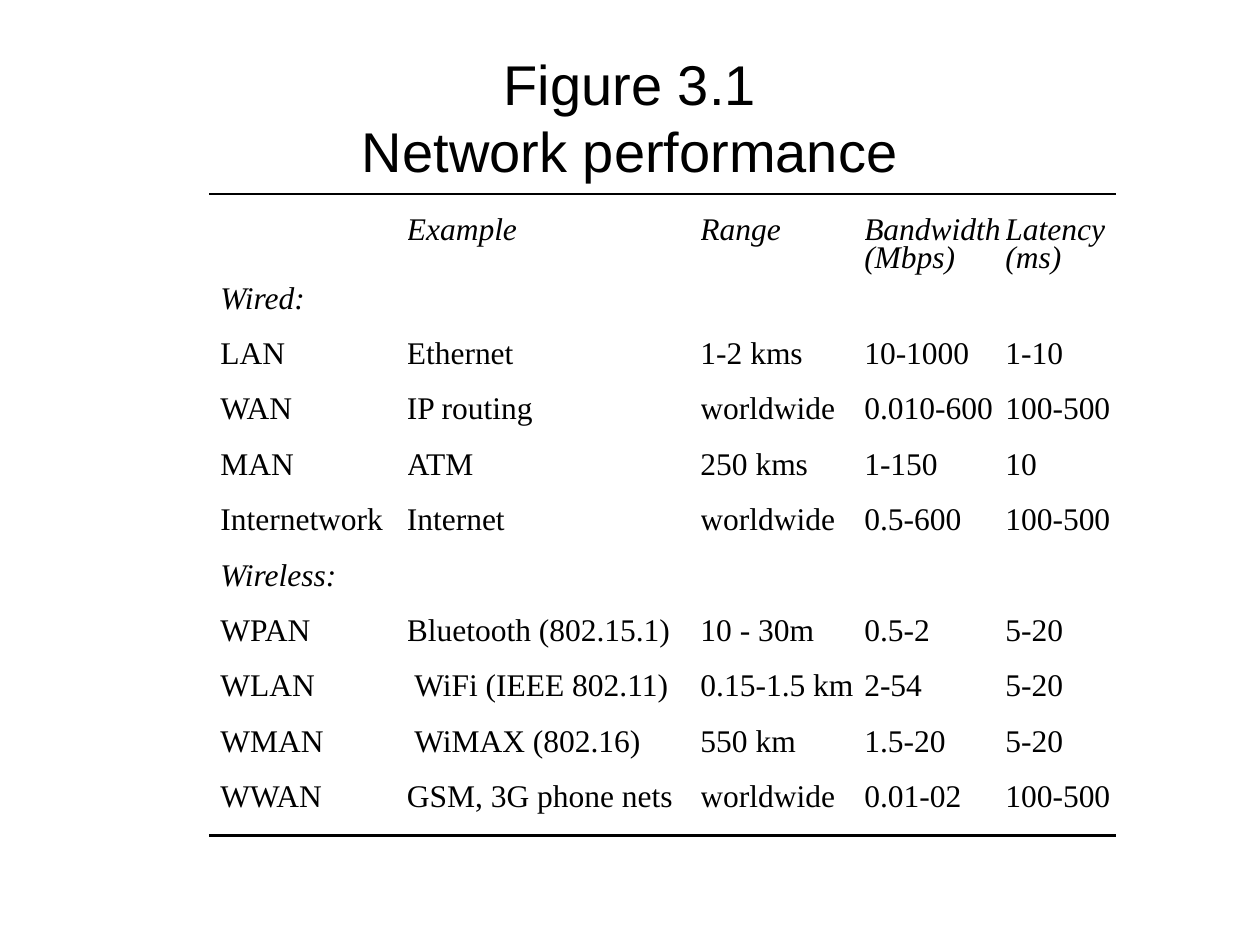
from pptx import Presentation
from pptx.dml.color import RGBColor
from pptx.enum.shapes import MSO_CONNECTOR
from pptx.enum.text import MSO_ANCHOR, MSO_AUTO_SIZE, PP_ALIGN
from pptx.oxml.ns import qn
from pptx.util import Inches, Pt

BLACK = RGBColor(0x00, 0x00, 0x00)
TITLE_FONT = {"name": "Arial", "size": Pt(32)}
BODY_FONT = {"name": "Times New Roman", "size": Pt(18)}

# Table grid, in inches
LEFT, TOP, BOTTOM = 1.66, 1.54, 6.63
COL_WIDTHS = [1.57, 2.33, 1.30, 1.12, 0.88]
HEADER_HEIGHT, ROW_HEIGHT = 0.65, 0.44
HEADER_PAD, ROW_PAD = 0.20, 0.04
FIRST_PAD, INDENT = 0.09, 0.06

HEADER = ["", "Example", "Range", "Bandwidth\v(Mbps)", "Latency\v(ms)"]
GROUPS = {
    "Wired:": [
        ["LAN", "Ethernet", "1-2 kms", "10-1000", "1-10"],
        ["WAN", "IP routing", "worldwide", "0.010-600", "100-500"],
        ["MAN", "ATM", "250 kms", "1-150", "10"],
        ["Internetwork", "Internet", "worldwide", "0.5-600", "100-500"],
    ],
    "Wireless:": [
        ["WPAN", "Bluetooth (802.15.1)", "10 - 30m", "0.5-2", "5-20"],
        ["WLAN", "WiFi (IEEE 802.11)", "0.15-1.5 km", "2-54", "5-20"],
        ["WMAN", "WiMAX (802.16)", "550 km", "1.5-20", "5-20"],
        ["WWAN", "GSM, 3G phone nets", "worldwide", "0.01-02", "100-500"],
    ],
}
INDENTED = {"WiFi (IEEE 802.11)", "WiMAX (802.16)"}


def set_font(font, formats, italic=False):
    for name, value in formats.items():
        setattr(font, name, value)
    font.italic = italic
    font.color.rgb = BLACK


def add_title(s, text):
    title = s.shapes.title
    title.left, title.top = Inches(0.5), Inches(0.3)
    title.width, title.height = Inches(9), Inches(1.25)
    tf = title.text_frame
    tf.text = text
    tf.auto_size = MSO_AUTO_SIZE.NONE
    tf.vertical_anchor = MSO_ANCHOR.MIDDLE
    p = tf.paragraphs[0]
    p.alignment = PP_ALIGN.CENTER
    for r in p.runs:
        set_font(r.font, TITLE_FONT)


def fill_cell(cell, text, pad_left, pad_top, italic):
    cell.fill.background()
    cell.margin_left, cell.margin_top = Inches(pad_left), Inches(pad_top)
    cell.margin_right = cell.margin_bottom = 0
    p = cell.text_frame.paragraphs[0]
    p.text = text
    set_font(p.font, BODY_FONT, italic)
    for r in p.runs:
        set_font(r.font, BODY_FONT, italic)
    return p


def add_performance_table(s):
    rows = [HEADER]
    for group, members in GROUPS.items():
        rows += [[group, "", "", "", ""], *members]
    height = HEADER_HEIGHT + ROW_HEIGHT * (len(rows) - 1)
    table = s.shapes.add_table(
        len(rows), len(COL_WIDTHS), Inches(LEFT), Inches(TOP),
        Inches(sum(COL_WIDTHS)), Inches(height)).table
    table.first_row = table.horz_banding = False
    for column, width in zip(table.columns, COL_WIDTHS):
        column.width = Inches(width)

    for i, row in enumerate(rows):
        is_header = i == 0
        table.rows[i].height = Inches(HEADER_HEIGHT if is_header else ROW_HEIGHT)
        for j, text in enumerate(row):
            pad_left = FIRST_PAD if j == 0 else INDENT if text in INDENTED else 0
            p = fill_cell(table.cell(i, j), text, pad_left,
                          HEADER_PAD if is_header else ROW_PAD,
                          is_header or row[0] in GROUPS)
            if is_header:
                p.line_spacing = Pt(16)


def add_rule(s, y):
    rule = s.shapes.add_connector(
        MSO_CONNECTOR.STRAIGHT, Inches(LEFT), Inches(y),
        Inches(LEFT + sum(COL_WIDTHS)), Inches(y))
    rule.line.color.rgb = BLACK
    rule.line.width = Pt(1.39)
    sp_pr = rule._element.spPr
    sp_pr.append(sp_pr.makeelement(qn("a:effectLst"), {}))


def main():
    prs = Presentation()
    prs.slide_width, prs.slide_height = Inches(10), Inches(7.5)
    s = prs.slides.add_slide(prs.slide_layouts[5])
    add_title(s, "Figure 3.1\vNetwork performance")
    add_performance_table(s)
    # Rules above and below the table
    for y in (TOP, BOTTOM):
        add_rule(s, y)
    prs.save("out.pptx")


if __name__ == "__main__":
    main()
